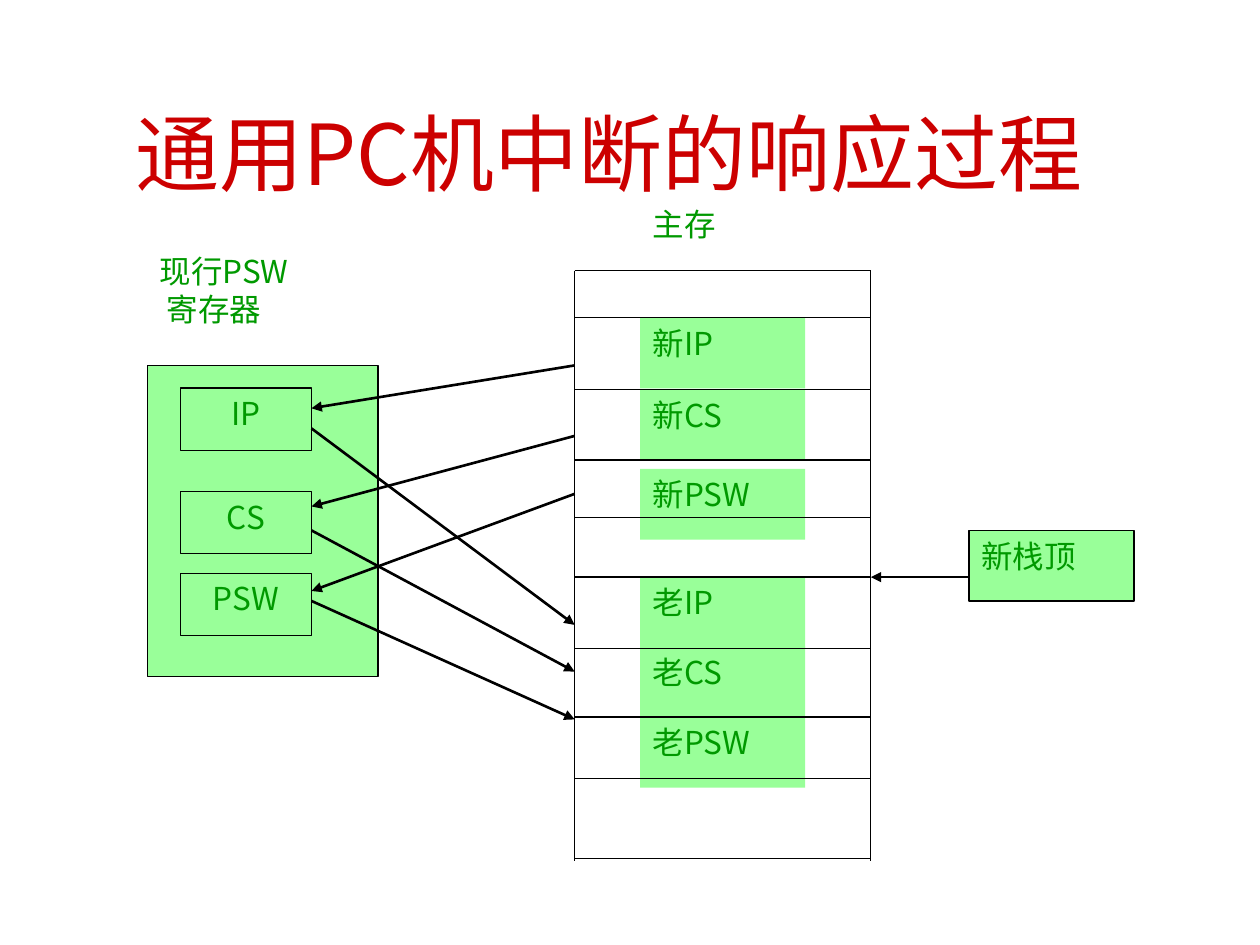
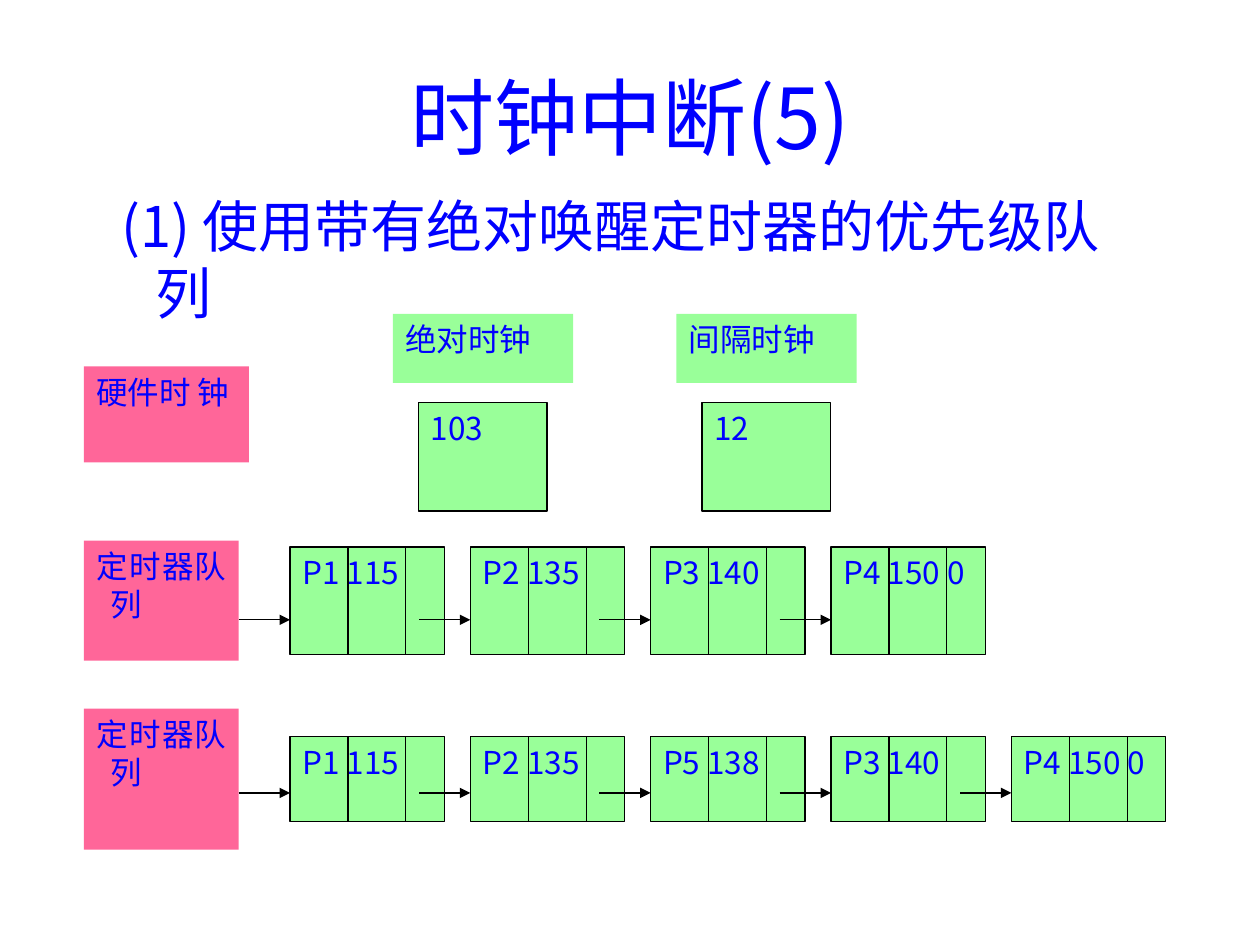
from pptx import Presentation
from pptx.dml.color import RGBColor
from pptx.enum.shapes import MSO_CONNECTOR as Conn, MSO_SHAPE as Kind
from pptx.enum.text import MSO_ANCHOR as Anchor, MSO_AUTO_SIZE as Fit, PP_ALIGN as Align
from pptx.oxml.ns import qn
from pptx.util import Pt
from lxml.etree import SubElement

HUES = {"red": "CC0000", "blue": "0000FF", "green": "009900",
        "mint": "99FF99", "pink": "FF6699", "black": "000000"}
FONT = "Noto Sans CJK JP"

HEAD_1 = "通用PC机中断的响应过程"
PANEL = (84.2, 208.8, 131.8, 177.8)
REGS = [("IP", 221.8), ("CS", 280.8), ("PSW", 327.6)]
REG_X, REG_W, REG_H = 103, 75, 35.5
MEM_X, MEM_END, MEM_TOP, MEM_LOW = 328.4, 497.6, 154.6, 491.8
ROWS = [154.6, 181.4, 222.4, 262.8, 295.9, 329.8, 370.7, 409.7, 445, 490.7]
WORDS = [("新IP", 181.6), ("新CS", 222.5), ("新PSW", 268),
         ("老IP", 329.8), ("老CS", 369.4), ("老PSW", 409.7)]
WORD_X, WORD_W, WORD_H = 365.8, 94.3, 40.4
LOADS = [(208.8, 233.3), (249.1, 289.4), (282.2, 337.7)]
SAVES = [(244.8, 357.1), (303.1, 383.8), (343.4, 411.1)]
STACK = (553.7, 303.1, WORD_W, WORD_H)

HEAD_2 = "时钟中断(5)"
POINT = "(1) 使用带有绝对唤醒定时器的优先级队列"
CLOCKS = [("绝对时钟", "103", 224.6), ("间隔时钟", "12", 386.6)]
QUEUES = [
    {"tag": (308.9, 68.6), "top": 312.6, "high": 61.4, "link": 354.2,
     "jobs": ["P1 115", "P2 135", "P3 140", "P4 150 0"]},
    {"tag": (404.9, 80.6), "top": 421, "high": 48.4, "link": 453.1,
     "jobs": ["P1 115", "P2 135", "P5 138", "P3 140", "P4 150 0"]},
]
TAG_X, TAG_W = 48, 88.4
JOB_X, JOB_W, JOB_STEP, FIELD, LINK = 165.7, 88.3, 103.05, 33.1, 29.3


def hue(name):
    return RGBColor.from_string(HUES[name])


def write(para, text, size, tint, align, left=0, first=0):
    props = para._p.get_or_add_pPr()
    props.set("marL", str(Pt(left)))
    props.set("indent", str(Pt(first)))
    SubElement(props, qn("a:buNone"))
    para.alignment = align
    para.space_before = Pt(0)
    run = para.add_run()
    run.text = text
    run.font.size = Pt(size)
    run.font.name = FONT
    run.font.color.rgb = hue(tint)
    SubElement(run._r.get_or_add_rPr(), qn("a:ea")).set("typeface", FONT)


def place(shape, x, y, w, h):
    shape.left, shape.top, shape.width, shape.height = Pt(x), Pt(y), Pt(w), Pt(h)
    frame = shape.text_frame
    frame.word_wrap = True
    frame.auto_size = Fit.NONE
    return frame


def title(slide, text, tint, x, y):
    frame = place(slide.shapes.title, x, y, 612, 90)
    frame.vertical_anchor = Anchor.MIDDLE
    write(frame.paragraphs[0], text, 48, tint, Align.CENTER)


def box(slide, area, text="", tint="blue", fill="mint", edge=True,
        align=Align.JUSTIFY, left=0, first=0):
    shape = slide.shapes.add_shape(Kind.RECTANGLE, *map(Pt, area))
    shape.shadow.inherit = False
    shape.fill.solid()
    shape.fill.fore_color.rgb = hue(fill)
    if edge:
        shape.line.color.rgb = hue("black")
        shape.line.width = Pt(0.75)
    else:
        shape.line.fill.background()
    frame = shape.text_frame
    frame.word_wrap = True
    frame.vertical_anchor = Anchor.TOP
    if text:
        write(frame.paragraphs[0], text, 18, tint, align, left, first)


def note(slide, area, lines):
    frame = slide.shapes.add_textbox(*map(Pt, area)).text_frame
    frame.word_wrap = True
    for i, (text, left) in enumerate(lines):
        para = frame.add_paragraph() if i else frame.paragraphs[0]
        write(para, text, 18, "green", Align.JUSTIFY, left)


def rule(slide, x1, y1, x2, y2, width=0.75, arrow=False):
    line = slide.shapes.add_connector(Conn.STRAIGHT, *map(Pt, (x1, y1, x2, y2)))
    line.line.color.rgb = hue("black")
    line.line.width = Pt(width)
    if arrow:
        SubElement(line.line._get_or_add_ln(), qn("a:tailEnd")).set("type", "triangle")
    SubElement(line._element.spPr, qn("a:effectLst"))


def draw_swap(deck):
    slide = deck.slides.add_slide(deck.slide_layouts[5])
    title(slide, HEAD_1, "red", 42, 42)
    box(slide, PANEL)
    for text, y in REGS:
        box(slide, (REG_X, y, REG_W, REG_H), text, "green", align=Align.CENTER)
    note(slide, (84.2, 140.4, 131.8, 54.7), [("现行PSW", 0), ("寄存器", 4)])
    note(slide, (WORD_X, 113.8, WORD_W, WORD_H), [("主存", 0)])
    for text, y in WORDS:
        box(slide, (WORD_X, y, WORD_W, WORD_H), text, "green", edge=False)
    for x in (MEM_X, MEM_END):
        rule(slide, x, MEM_TOP, x, MEM_LOW)
    for y in ROWS:
        rule(slide, MEM_X, y, MEM_END, y)
    box(slide, STACK, "新栈顶", "green")
    rule(slide, STACK[0], ROWS[5], MEM_END, ROWS[5], arrow=True)
    side = REG_X + REG_W
    for start, end in LOADS:
        rule(slide, MEM_X, start, side, end, 1.5, True)
    for start, end in SAVES:
        rule(slide, side, start, MEM_X, end, 1.5, True)


def draw_clock(deck):
    slide = deck.slides.add_slide(deck.slide_layouts[1])
    title(slide, HEAD_2, "blue", 54, 21)
    body = place(slide.placeholders[1], 54, 105.8, 612, 419.8)
    write(body.paragraphs[0], POINT, 32, "blue", Align.LEFT, 27.4, -19.4)
    box(slide, (TAG_X, 209.4, 94.3, 54.9), "硬件时 钟", fill="pink", edge=False)
    for name, value, x in CLOCKS:
        box(slide, (x, 179.4, 103, 39.4), name, edge=False)
        box(slide, (x + 14.5, 230, 73.6, 62), value)
    for queue in QUEUES:
        y, high = queue["tag"]
        box(slide, (TAG_X, y, TAG_W, high), "定时器队列", fill="pink",
            edge=False, left=8, first=-8)
        top, low = queue["top"], queue["top"] + queue["high"]
        spots = [JOB_X + i * JOB_STEP for i in range(len(queue["jobs"]))]
        for x, job in zip(spots, queue["jobs"]):
            box(slide, (x, top, JOB_W, queue["high"]), job)
            for i in (1, 2):
                rule(slide, x + i * FIELD, top, x + i * FIELD, low)
        for x in spots:
            rule(slide, x - LINK, queue["link"], x, queue["link"], arrow=True)


def main():
    deck = Presentation()
    deck.slide_width, deck.slide_height = Pt(720), Pt(540)
    draw_swap(deck)
    draw_clock(deck)
    deck.save("out.pptx")


if __name__ == "__main__":
    main()
